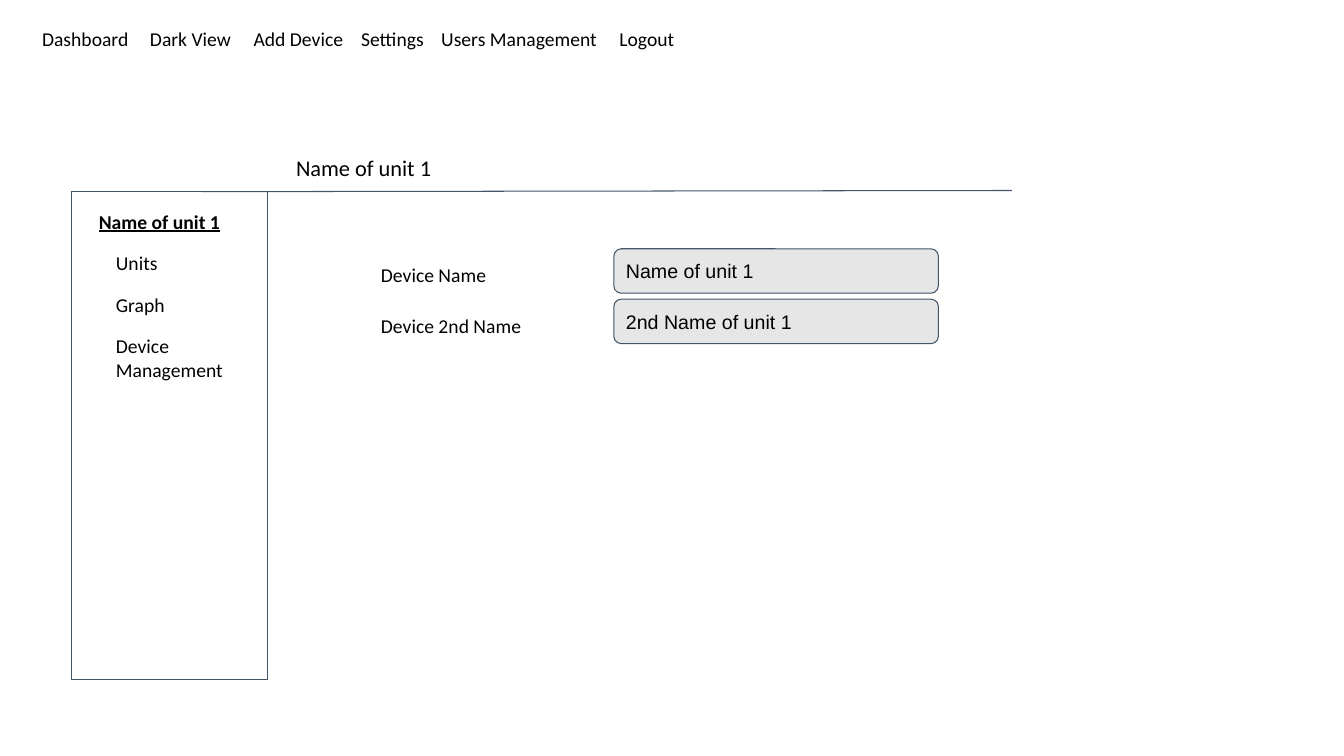
"""Build the device management screen wireframe as a single slide."""
from pptx import Presentation
from pptx import util as u
from pptx.dml.color import RGBColor
from pptx.enum import shapes, text
from pptx.oxml.ns import qn
from lxml import etree

BLACK = RGBColor(0x00, 0x00, 0x00)
SLATE = RGBColor(0x44, 0x54, 0x6A)
LIGHT_GREY = RGBColor(0xE7, 0xE6, 0xE6)

NAVIGATION = ["Dashboard", "Dark View", "Add Device", "Settings", "Users Management", "Logout"]
NAVIGATION_STOPS = [2.72, 5.33, 8.04, 10.06, 14.55]
MENU = ["Units", "Graph", "Device Management"]
DEVICE_FIELDS = [("Device Name", "Name of unit 1"), ("Device 2nd Name", "2nd Name of unit 1")]
FIELD_PITCH = 1.27


def place(shape, left, top, width, height):
    shape.left, shape.top = u.Cm(left), u.Cm(top)
    shape.width, shape.height = u.Cm(width), u.Cm(height)


def write(shape, lines, size=14, font="Calibri", anchor=text.MSO_ANCHOR.TOP, gap=0):
    frame = shape.text_frame
    frame.text = "\n".join(lines)
    frame.word_wrap = True
    frame.auto_size = text.MSO_AUTO_SIZE.NONE
    frame.vertical_anchor = anchor
    frame.margin_left = frame.margin_right = u.Cm(0.25)
    frame.margin_top = frame.margin_bottom = u.Cm(0.25)
    for index, paragraph in enumerate(frame.paragraphs):
        paragraph.alignment = text.PP_ALIGN.LEFT
        paragraph.space_before = u.Pt(gap if index else 0)
        paragraph.font.name = font
        paragraph.font.size = u.Pt(size)
        paragraph.font.color.rgb = BLACK
    return frame


def add_label(slide, wording, *box):
    label = slide.shapes.add_textbox(*map(u.Cm, box))
    return write(label, [wording]).paragraphs[0]


def add_panel(slide, kind, *box, fill=None):
    panel = slide.shapes.add_shape(kind, *map(u.Cm, box))
    panel.shadow.inherit = False
    panel.line.color.rgb = SLATE
    panel.line.width = u.Pt(0.75)
    if fill is None:
        panel.fill.background()
    else:
        panel.fill.solid()
        panel.fill.fore_color.rgb = fill
    return panel


def add_rule(slide, *ends):
    rule = slide.shapes.add_connector(shapes.MSO_CONNECTOR.STRAIGHT, *map(u.Cm, ends))
    rule.line.color.rgb = SLATE
    rule.line.width = u.Pt(0.75)
    etree.SubElement(rule._element.spPr, qn("a:effectLst"))


def add_navigation(slide):
    bar = slide.shapes.add_textbox(*map(u.Cm, (0.81, 0.43, 17.58, 1.12)))
    bar.text_frame.text = "\t".join(NAVIGATION)
    properties = bar.text_frame.paragraphs[0]._p.get_or_add_pPr()
    stops = etree.SubElement(properties, qn("a:tabLst"))
    for stop in NAVIGATION_STOPS:
        etree.SubElement(stops, qn("a:tab"), pos=str(u.Cm(stop)), algn="l")
    paragraph = bar.text_frame.paragraphs[0]
    paragraph.font.name = "Calibri"
    paragraph.font.size = u.Pt(14)
    paragraph.font.color.rgb = BLACK
    bar.text_frame.word_wrap = True
    bar.text_frame.margin_left = bar.text_frame.margin_top = u.Cm(0.25)


def add_menu(slide):
    menu = slide.placeholders[1]
    place(menu, 2.67, 6.07, 4.57, 3.84)
    menu.text_frame.text = "\n".join(MENU)
    frame = write(menu, MENU, gap=13)
    for paragraph in frame.paragraphs:
        properties = paragraph._p.get_or_add_pPr()
        properties.set("marL", "0")
        properties.set("indent", "0")
        bullet = etree.Element(qn("a:buNone"))
        properties.find(qn("a:spcBef")).addnext(bullet)


def add_sidebar(slide):
    add_panel(slide, shapes.MSO_SHAPE.RECTANGLE, 1.8, 4.83, 4.95, 12.29)
    heading = add_label(slide, "Name of unit 1", 2.24, 5.03, 3.96, 1.12)
    heading.font.bold = True
    heading.font.underline = True
    add_menu(slide)


def add_device_fields(slide):
    for row, (name, value) in enumerate(DEVICE_FIELDS):
        offset = row * FIELD_PITCH
        add_label(slide, name, 9.35, 6.38 + offset, 5.16, 1.12)
        field = add_panel(slide, shapes.MSO_SHAPE.ROUNDED_RECTANGLE,
                          15.47, 6.27 + offset, 8.18, 1.12, fill=LIGHT_GREY)
        write(field, [value], font="Arial", anchor=text.MSO_ANCHOR.MIDDLE)


def main():
    presentation = Presentation()
    presentation.slide_width, presentation.slide_height = u.Cm(33.87), u.Cm(19.05)
    slide = presentation.slides.add_slide(presentation.slide_layouts[1])
    place(slide.shapes.title, 7.21, 3.63, 5.49, 1.19)
    write(slide.shapes.title, ["Name of unit 1"], size=16)
    add_rule(slide, 5.08, 4.83, 25.5, 4.8)
    add_navigation(slide)
    add_sidebar(slide)
    add_device_fields(slide)
    presentation.save("out.pptx")


if __name__ == "__main__":
    main()
